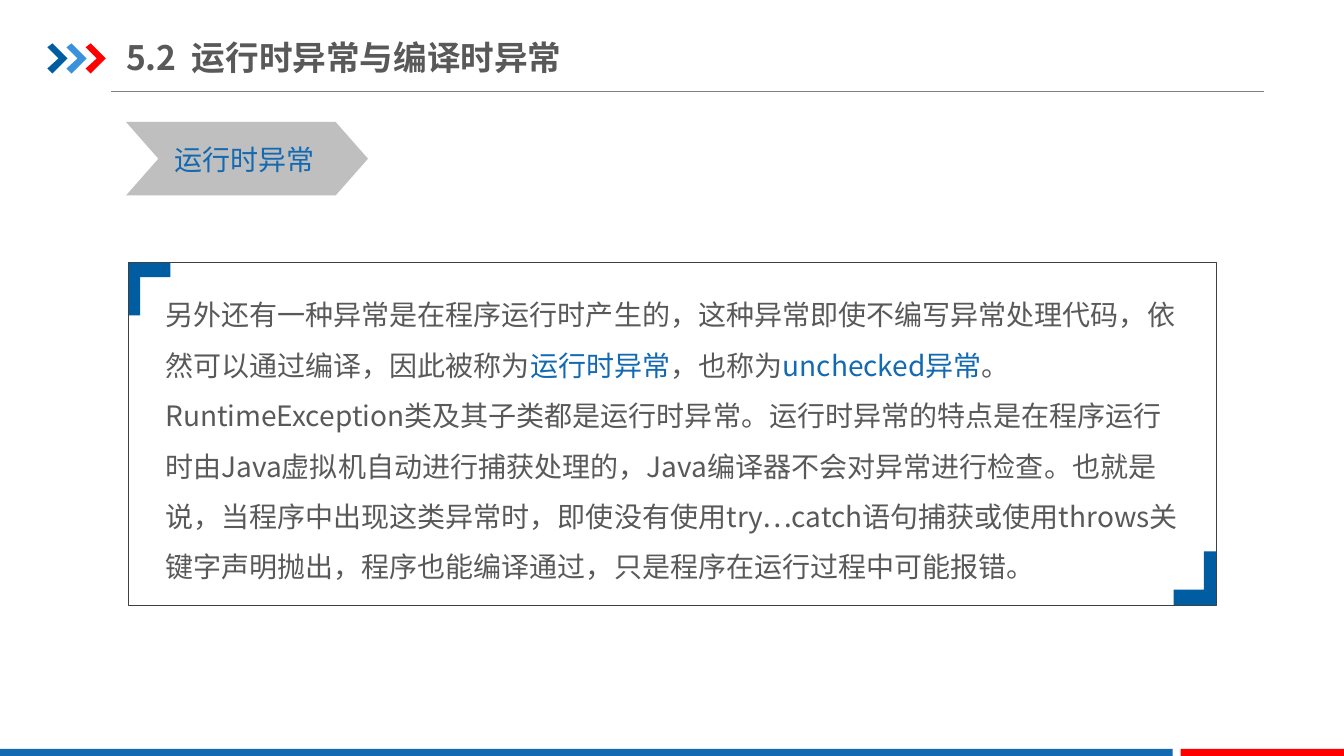
"""Build the slide on runtime exceptions and save it as out.pptx."""
import lxml.etree
import pptx
import pptx.dml.color
import pptx.enum.shapes
import pptx.enum.text
import pptx.oxml.ns
import pptx.util

PX = 9144
THEME = {
    "font": "Noto Sans CJK SC",
    "head": 24, "body": 20,
    "ink": "595959", "blue": "1369B2", "deep": "005DA2", "sky": "3992DB",
    "red": "FF0000", "grey": "BFBFBF", "rule": "808080", "edge": "404040",
}
KIND = pptx.enum.shapes.MSO_SHAPE
FIT = pptx.enum.text.MSO_AUTO_SIZE


def color(name):
    return pptx.dml.color.RGBColor.from_string(THEME[name])


def write(part, text, size="body", tint="ink", bold=False):
    run = part.add_run()
    run.text = text
    run.font.name = THEME["font"]
    run.font.size = pptx.util.Pt(THEME[size])
    run.font.bold = bold
    run.font.color.rgb = color(tint)
    east = lxml.etree.SubElement(run.font._element, pptx.oxml.ns.qn("a:ea"))
    east.set("typeface", THEME["font"])


deck = pptx.Presentation()
deck.slide_width, deck.slide_height = 1333 * PX, 750 * PX
slide = deck.slides.add_slide(deck.slide_layouts[5])
shapes = slide.shapes

title = shapes.title
title.left, title.top, title.width, title.height = [n * PX for n in (125, 29, 499, 55)]
frame = title.text_frame
frame.word_wrap = True
frame.auto_size = FIT.NONE
frame.margin_left = frame.margin_right = 0
frame.vertical_anchor = pptx.enum.text.MSO_ANCHOR.MIDDLE
frame.paragraphs[0].alignment = pptx.enum.text.PP_ALIGN.LEFT
write(frame.paragraphs[0], "5.2  运行时异常与编译时异常", size="head", bold=True)

rule = shapes.add_connector(
    pptx.enum.shapes.MSO_CONNECTOR.STRAIGHT, 110 * PX, 91 * PX, 1254 * PX, 91 * PX)
rule.line.color.rgb = color("rule")
rule.line.width = pptx.util.Pt(0.75)
lxml.etree.SubElement(rule._element.spPr, pptx.oxml.ns.qn("a:effectLst"))

arrow = [(0, 4), (5, 0), (20, 15), (5, 30), (0, 25), (11, 15)]
marks = [([(47 + 19 * i + x, 43 + y) for x, y in arrow], tint)
         for i, tint in enumerate(("deep", "sky", "red"))]

left, top, width, height = 127, 260, 1079, 340
angle = [(0, 0), (42, 0), (42, 15), (12, 15), (12, 53), (0, 53)]
marks.append(([(left + x, top + y) for x, y in angle], "deep"))
marks.append(([(left + width - x, top + height - y) for x, y in angle], "deep"))

for points, tint in marks:
    pen = shapes.build_freeform(*points[0], scale=PX)
    pen.add_line_segments(points[1:], close=True)
    mark = pen.convert_to_shape()
    mark.shadow.inherit = False
    mark.fill.solid()
    mark.fill.fore_color.rgb = color(tint)
    mark.line.fill.background()

for kind, box, tint in (
    (KIND.RECTANGLE, (0, 743, 1163, 9), "blue"),
    (KIND.RECTANGLE, (1171, 743, 163, 9), "red"),
    (KIND.CHEVRON, (125, 121, 240, 73), "grey"),
):
    block = shapes.add_shape(kind, *[n * PX for n in box])
    block.shadow.inherit = False
    block.fill.solid()
    block.fill.fore_color.rgb = color(tint)
    block.line.fill.background()
    if kind == KIND.CHEVRON:
        block.adjustments[0] = 0.44

border = shapes.add_shape(KIND.RECTANGLE, left * PX, top * PX, width * PX, height * PX)
border.shadow.inherit = False
border.fill.background()
border.line.color.rgb = color("edge")
border.line.width = pptx.util.Pt(0.25)

label = [("运行时异常", "blue")]
story = [
    ("另外还有一种异常是在程序运行时产生的，这种异常即使不编写异常处理代码，"
     "依然可以通过编译，因此被称为", "ink"),
    ("运行时异常", "blue"),
    ("，也称为", "ink"),
    ("unchecked异常", "blue"),
    ("。RuntimeException类及其子类都是运行时异常。运行时异常的特点是在程序运行时由"
     "Java虚拟机自动进行捕获处理的，Java编译器不会对异常进行检查。也就是说，"
     "当程序中出现这类异常时，即使没有使用try…catch语句捕获或使用throws关键字声明抛出，"
     "程序也能编译通过，只是程序在运行过程中可能报错。", "ink"),
]
for box, runs, wrap, space in (
    ((163, 136, 159, 44), label, False, 1.0),
    ((154, 274, 1025, 313), story, True, 1.5),
):
    frame = shapes.add_textbox(*[n * PX for n in box]).text_frame
    frame.word_wrap = wrap
    frame.auto_size = FIT.SHAPE_TO_FIT_TEXT
    frame.paragraphs[0].line_spacing = space
    for text, tint in runs:
        write(frame.paragraphs[0], text, tint=tint)

deck.save("out.pptx")
